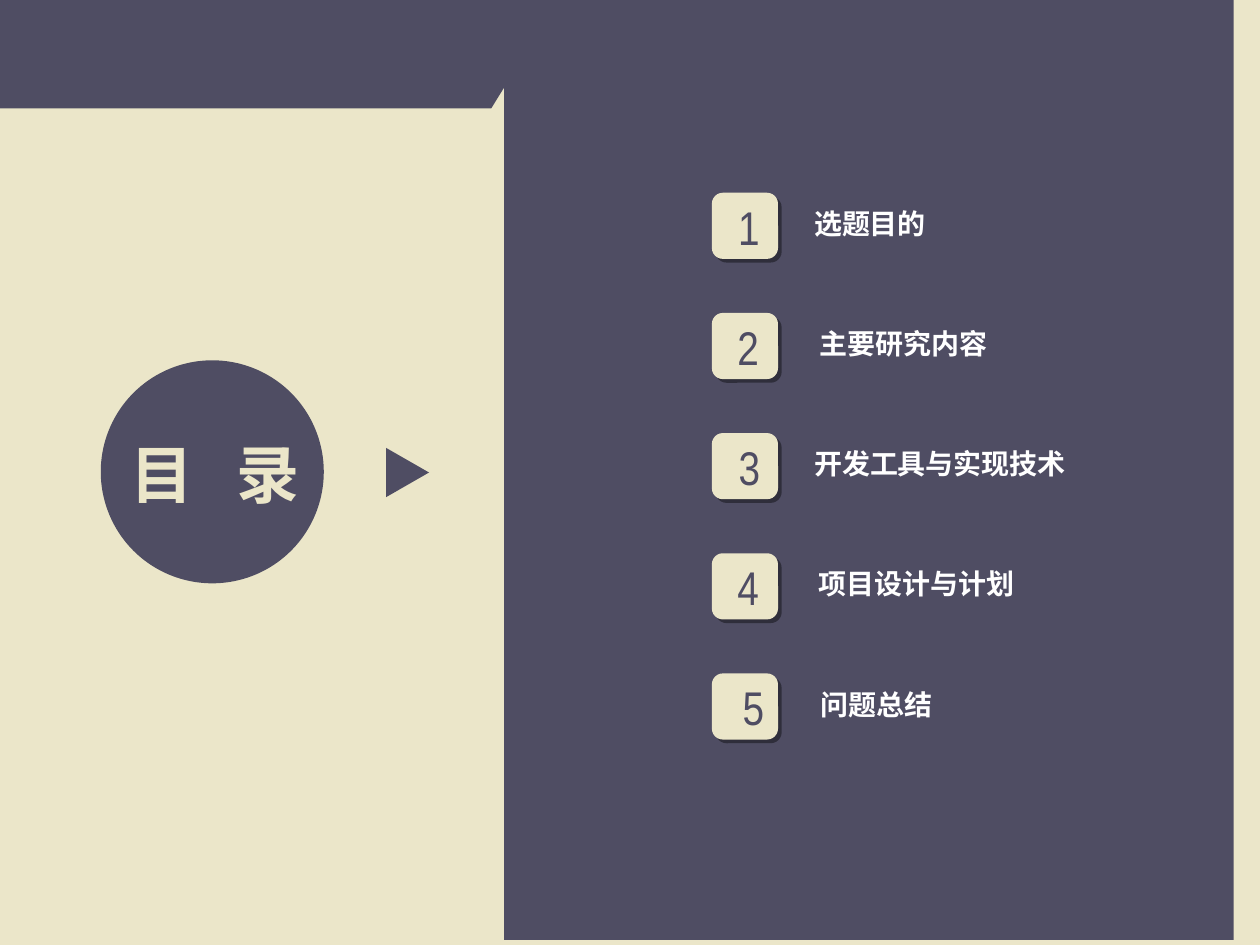
from lxml.etree import SubElement
from pptx import Presentation
from pptx.dml.color import RGBColor
from pptx.enum.shapes import MSO_SHAPE
from pptx.enum.text import MSO_AUTO_SIZE, PP_ALIGN
from pptx.oxml.ns import qn
from pptx.util import Inches, Pt

# The slide is a grid of 100 columns by 75 rows of square cells
CELL = Inches(10) // 100
COLUMNS, ROWS = 100, 75

CREAM, SLATE, WHITE, BLACK = "EBE6C9", "4F4D63", "FFFFFF", "000000"
CJK_FONT, NUMBER_FONT = "Noto Sans CJK SC", "Arial Narrow"

# Number, its box (offset, width), label, its box (offset, width), alignment
AGENDA = [
    ("1", -1.2, 6.4, "选题目的", 9, 7.1, PP_ALIGN.CENTER),
    ("2", -1.5, 6.9, "主要研究内容", 7.6, 21, PP_ALIGN.LEFT),
    ("3", -1.5, 7.1, "开发工具与实现技术", 3.9, 28.4, PP_ALIGN.CENTER),
    ("4", -1.5, 6.9, "项目设计与计划", 6.4, 19.7, PP_ALIGN.CENTER),
    ("5", -1.2, 7.1, "问题总结", 7, 12.1, PP_ALIGN.CENTER),
]


def color(value):
    return RGBColor.from_string(value)


def cells(*values):
    return [round(value * CELL) for value in values]


def paint(shape, fill):
    shape.shadow.inherit = False
    shape.fill.solid()
    shape.fill.fore_color.rgb = color(fill)
    shape.line.fill.background()
    return shape


def add_block(shapes, kind, box, fill):
    return paint(shapes.add_shape(kind, *cells(*box)), fill)


def add_text(shapes, box, text, size, font, fill, bold=True,
             align=PP_ALIGN.LEFT, wrap=False):
    text_box = shapes.add_textbox(*cells(*box))
    frame = text_box.text_frame
    frame.word_wrap = wrap
    frame.auto_size = MSO_AUTO_SIZE.NONE
    paragraph = frame.paragraphs[0]
    paragraph.alignment = align
    for piece in text:
        run = paragraph.add_run()
        run.text = piece
        run.font.size = Pt(size)
        run.font.name = font
        run.font.bold = bold
        run.font.color.rgb = color(fill)
        SubElement(run.font._element, qn("a:ea"), typeface=font)
    return text_box


def add_hard_shadow(shape):
    effects = shape._element.spPr.find(qn("a:effectLst"))
    shadow = SubElement(effects, qn("a:outerShdw"), blurRad="0",
                        dist=str(Pt(3)), dir=str(45 * 60000),
                        algn="tl", rotWithShape="0")
    shade = SubElement(shadow, qn("a:srgbClr"), val=BLACK)
    SubElement(shade, qn("a:alpha"), val="40000")


def add_backdrop(slide, left, top, width, height):
    # Top band with a slanted right end
    band = 8.6
    builder = slide.shapes.build_freeform(*cells(left, top), scale=1.0)
    corners = [(44.3, 0), (39, band), (0, band)]
    builder.add_line_segments(
        [cells(left + x, top + y) for x, y in corners], close=True)
    paint(builder.convert_to_shape(), SLATE)
    # Right-hand panel
    panel = (left + 0.4 * width, top - 0.4, 0.579 * width, height)
    add_block(slide.shapes, MSO_SHAPE.RECTANGLE, panel, SLATE)


def add_title_badge(slide, left, top, size):
    # Pointer towards the agenda
    pointer = add_block(slide.shapes, MSO_SHAPE.ISOSCELES_TRIANGLE,
                        (left + 22.4, top + 7.2, 3.9, 3.4), SLATE)
    pointer.rotation = 90
    # Circle and title
    shapes = slide.shapes.add_group_shape().shapes
    add_block(shapes, MSO_SHAPE.OVAL, (left, top, size, size), SLATE)
    title = add_text(shapes, (left + 1.4, top + 5.5, 15.4, 7),
                     ("目", " ", "录"), 36, CJK_FONT, CREAM)
    # Widen the gap between the two characters
    gap = title.text_frame.paragraphs[0].runs[1]
    gap.font._element.set("spc", "1600")


def add_agenda(slide, left, top, height):
    tile = 5.25
    pitch = (height - tile) / (len(AGENDA) - 1)
    for index, entry in enumerate(AGENDA):
        number, number_x, number_width, label, label_x, label_width, align = entry
        row = top + index * pitch
        # Tile
        square = add_block(slide.shapes, MSO_SHAPE.ROUNDED_RECTANGLE,
                           (left, row, tile, tile), CREAM)
        add_hard_shadow(square)
        # Label
        add_text(slide.shapes, (left + label_x, row + 0.6, label_width, 4),
                 [label], 16, CJK_FONT, WHITE, align=align)
        # Number, pushed right of the tile's centre
        digit = add_text(slide.shapes,
                         (left + number_x, row - 0.1, number_width, 5.5),
                         [number], 27, NUMBER_FONT, SLATE, bold=False,
                         align=PP_ALIGN.CENTER, wrap=True)
        digit.text_frame.margin_left = cells(2.85)[0]


def main():
    presentation = Presentation()
    presentation.slide_width, presentation.slide_height = cells(COLUMNS, ROWS)
    slide = presentation.slides.add_slide(presentation.slide_layouts[6])
    slide.background.fill.solid()
    slide.background.fill.fore_color.rgb = color(CREAM)

    add_backdrop(slide, 0, 0, COLUMNS, ROWS)
    add_title_badge(slide, 8, 28.6, 17.7)
    add_agenda(slide, 56.5, 15.3, 43.4)
    presentation.save("out.pptx")


if __name__ == "__main__":
    main()
